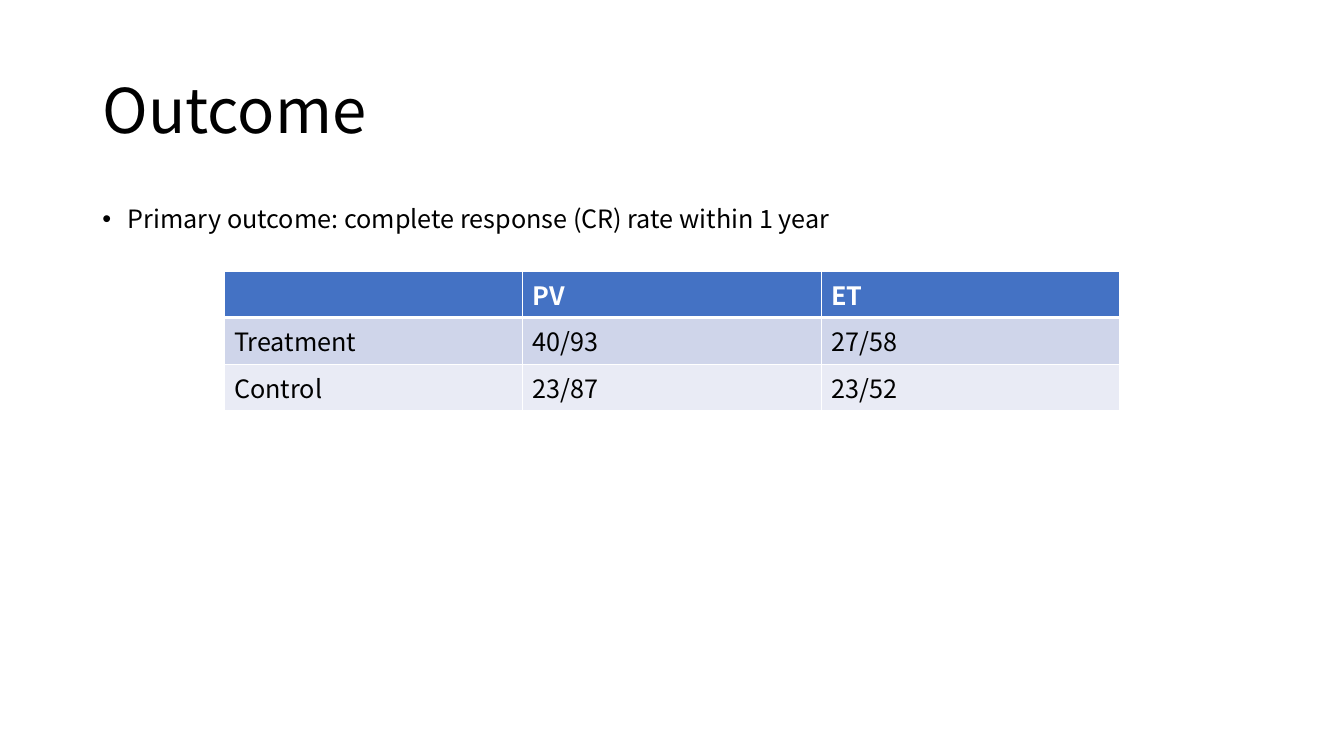
from lxml.etree import SubElement
from pptx import Presentation
from pptx.dml.color import RGBColor
from pptx.enum.text import MSO_ANCHOR, MSO_AUTO_SIZE, PP_ALIGN
from pptx.oxml.ns import qn
from pptx.util import Pt

FONT = "Noto Sans CJK SC"
BLACK = RGBColor(0x00, 0x00, 0x00)
WHITE = RGBColor(0xFF, 0xFF, 0xFF)
HEADER_BLUE = RGBColor(0x44, 0x72, 0xC4)
BAND_DARK = RGBColor(0xCF, 0xD5, 0xEA)
BAND_LIGHT = RGBColor(0xE9, 0xEB, 0xF5)

TITLE_BOX = (66, 28.75, 828, 104.4)
BODY_BOX = (66, 143.75, 828, 342.6)
TABLE_BOX = (160, 193.6, 640, 87.6)
OUTCOMES = [
    ("", "PV", "ET"),
    ("Treatment", "40/93", "27/58"),
    ("Control", "23/87", "23/52"),
]


def style_runs(paragraph, size, color, bold=False):
    for span in paragraph.runs:
        span.font.name = FONT
        span.font.size = Pt(size)
        span.font.bold = bold
        span.font.color.rgb = color


def fill_placeholder(holder, box, text, size, anchor):
    """Move a placeholder to the box, set its text and return the paragraph."""
    holder.left, holder.top, holder.width, holder.height = map(Pt, box)
    frame = holder.text_frame
    frame.text = text
    frame.auto_size = MSO_AUTO_SIZE.NONE
    frame.vertical_anchor = anchor
    para = frame.paragraphs[0]
    para.alignment = PP_ALIGN.LEFT
    para.line_spacing = 0.9
    style_runs(para, size, BLACK)
    return para


def add_title(page, box):
    fill_placeholder(page.shapes.title, box, "Outcome", 44, MSO_ANCHOR.MIDDLE)


def add_bullet(page, box):
    text = "Primary outcome: complete response (CR) rate within 1 year"
    para = fill_placeholder(page.placeholders[1], box, text, 18, MSO_ANCHOR.TOP)
    para.space_before = Pt(10)
    properties = para._p.get_or_add_pPr()
    properties.set("marL", str(Pt(18)))
    properties.set("indent", str(Pt(-18)))
    SubElement(properties, qn("a:buFont")).set("typeface", "Arial")
    SubElement(properties, qn("a:buChar")).set("char", "•")


def add_borders(cell, top, bottom):
    """Draw white borders; top and bottom are widths in points."""
    properties = cell._tc.get_or_add_tcPr()
    for side, width in (("L", 1), ("R", 1), ("T", top), ("B", bottom)):
        line = SubElement(properties, qn(f"a:ln{side}"), w=str(Pt(width)))
        fill = SubElement(line, qn("a:solidFill"))
        SubElement(fill, qn("a:srgbClr"), val=str(WHITE))


def add_outcome_table(page, box):
    row_count, column_count = len(OUTCOMES), len(OUTCOMES[0])
    table = page.shapes.add_table(row_count, column_count, *map(Pt, box)).table
    fills = (HEADER_BLUE, BAND_DARK, BAND_LIGHT)
    for row, (values, color) in enumerate(zip(OUTCOMES, fills)):
        header = row == 0
        for column, value in enumerate(values):
            cell = table.cell(row, column)
            add_borders(cell, top=3 if row == 1 else 1, bottom=3 if header else 1)
            cell.fill.solid()
            cell.fill.fore_color.rgb = color
            cell.text_frame.text = value
            style_runs(cell.text_frame.paragraphs[0], 18,
                       WHITE if header else BLACK, bold=header)


def main():
    deck = Presentation()
    deck.slide_width, deck.slide_height = Pt(960), Pt(540)
    page = deck.slides.add_slide(deck.slide_layouts[1])
    add_title(page, TITLE_BOX)
    add_bullet(page, BODY_BOX)
    add_outcome_table(page, TABLE_BOX)
    deck.save("out.pptx")


if __name__ == "__main__":
    main()
